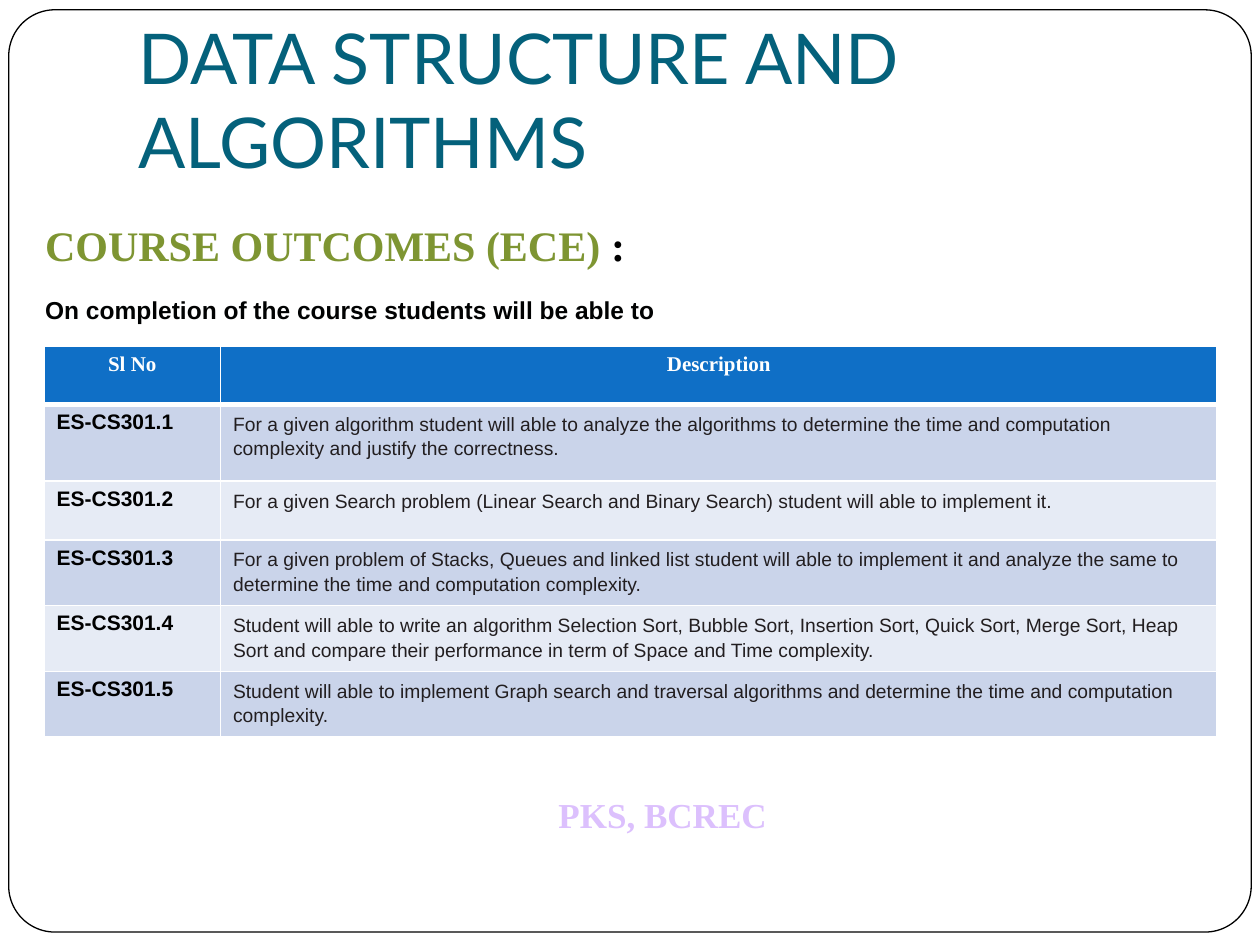
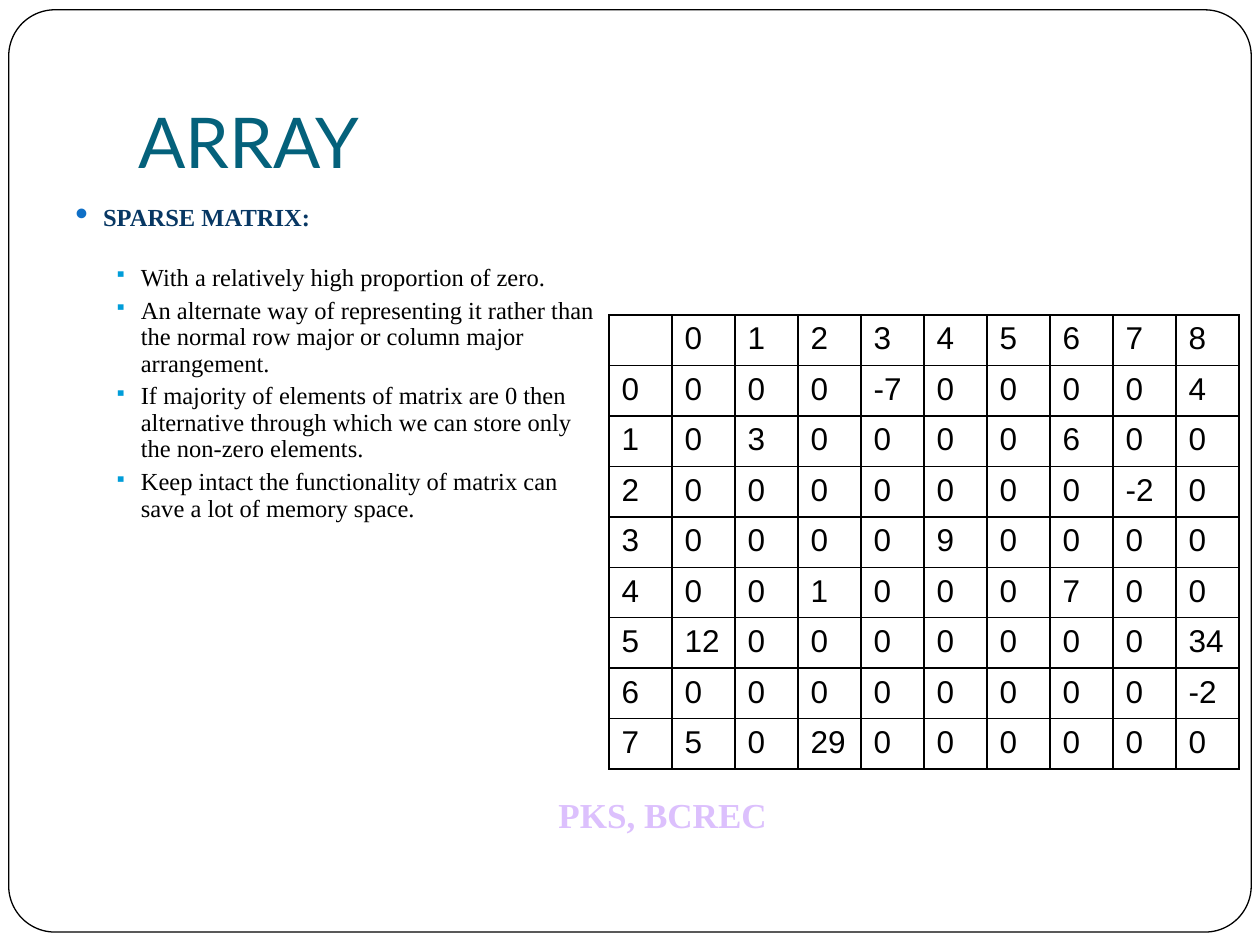
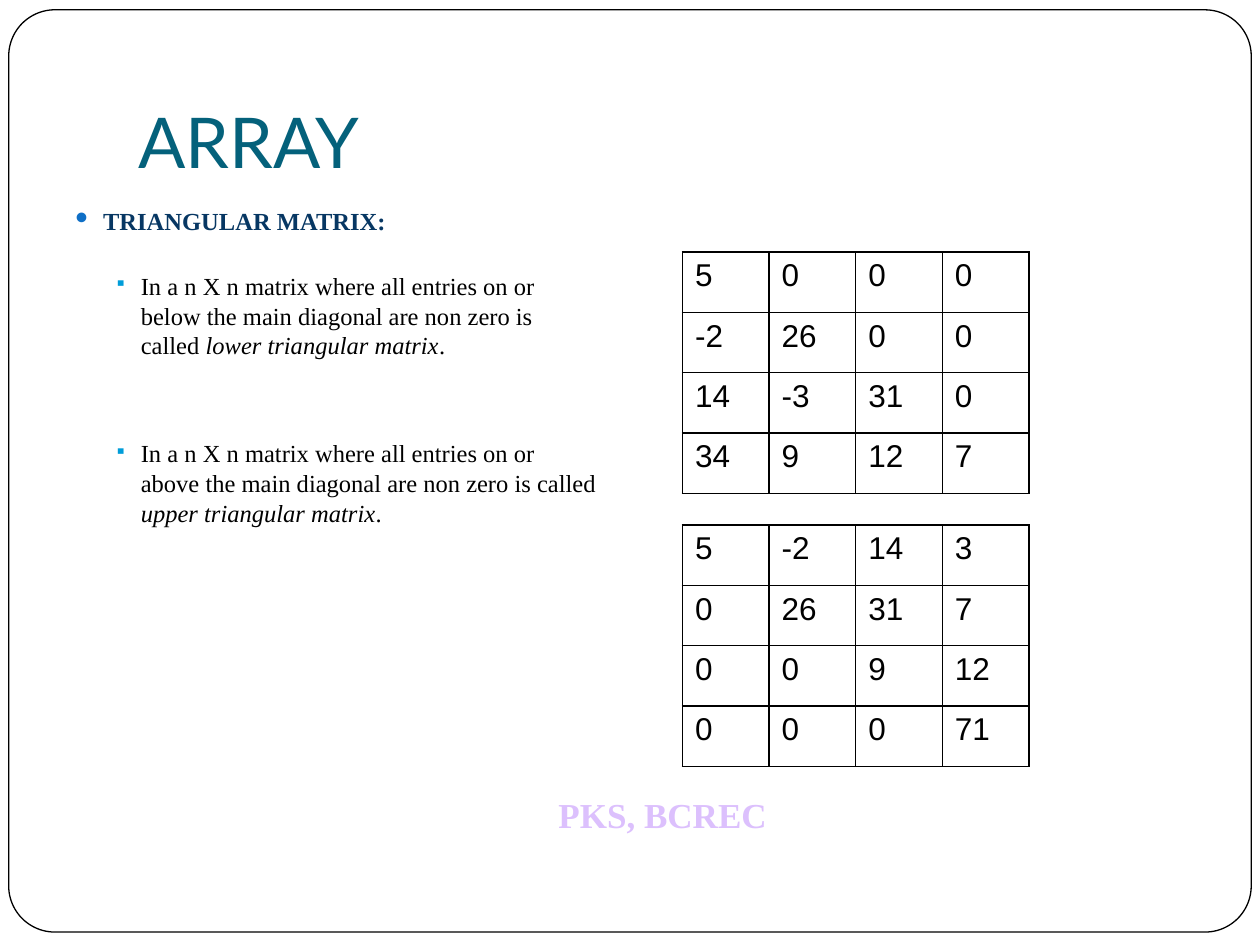
"""Build three lecture slides on data structures: course outcomes, sparse and triangular matrices."""
from pptx import Presentation
from pptx.dml.color import RGBColor
from pptx.enum import shapes, text
from pptx.oxml.ns import qn
from pptx.util import Pt
from lxml import etree

WHITE = RGBColor(0xFF, 0xFF, 0xFF)
BLACK = RGBColor(0, 0, 0)
TEAL = RGBColor(0x04, 0x61, 0x7B)
LILAC = RGBColor(0xDC, 0xC0, 0xFD)
OLIVE = RGBColor(0x7E, 0x95, 0x32)
NAVY = RGBColor(0x07, 0x37, 0x63)
BLUE = RGBColor(0x0F, 0x6F, 0xC6)
CYAN = RGBColor(0x00, 0x9D, 0xD9)
CHARCOAL = RGBColor(0x22, 0x1E, 0x20)
INK = RGBColor(0x01, 0x02, 0x02)
BANDS = [RGBColor(0xCA, 0xD4, 0xEA), RGBColor(0xE6, 0xEB, 0xF5)]
SERIF, SANS, TITLE_FONT = "Times New Roman", "Arial", "Lato"

FOOTER = "PKS, BCREC"

OUTCOMES = [
    "For a given algorithm student will able to analyze the algorithms to determine the time and "
    "computation complexity and justify the correctness.",
    "For a given Search problem (Linear Search and Binary Search) student will able to implement it.",
    "For a given problem of Stacks, Queues and linked list student will able to implement it and "
    "analyze the same to determine the time and computation complexity.",
    "Student will able to write an algorithm Selection Sort, Bubble Sort, Insertion Sort, Quick Sort, "
    "Merge Sort, Heap Sort and compare their performance in term of Space and Time complexity.",
    "Student will able to implement Graph search and traversal algorithms and determine the time and "
    "computation complexity.",
]
OUTCOME_COLUMNS = [100.8, 569.5]
OUTCOME_ROWS = [33, 44, 33.5, 35, 36, 35]

SPARSE_POINTS = [
    (18.8, ["With a relatively high proportion of zero."]),
    (3.7, ["An alternate way of representing it rather than the normal row major or column major "
           "arrangement."]),
    (3.7, ["If majority of elements of matrix are 0 then alternative through which we can store only "
           "the non-zero elements."]),
    (3.7, ["Keep intact the functionality of matrix can save a lot of memory space."]),
]
SPARSE_SIZE = (8, 9)
SPARSE_ENTRIES = {(0, 3): -7, (0, 8): 4, (1, 1): 3, (1, 6): 6, (2, 7): -2, (3, 4): 9, (4, 2): 1,
                  (4, 6): 7, (5, 0): 12, (5, 8): 34, (6, 8): -2, (7, 0): 5, (7, 2): 29}

TRIANGULAR_POINTS = [
    (20.6, ["In a n X n matrix where all entries on or below the main diagonal are non zero is called ",
            "lower triangular matrix", "."]),
    (44.9, ["In a n X n matrix where all entries on or above the main diagonal are non zero is called ",
            "upper triangular matrix", "."]),
]
LOWER = [[5, 0, 0, 0], [-2, 26, 0, 0], [14, -3, 31, 0], [34, 9, 12, 7]]
UPPER = [[5, -2, 14, 3], [0, 26, 31, 7], [0, 0, 9, 12], [0, 0, 0, 71]]


def add_run(paragraph, words, size, font, color, bold=False, italic=False):
    run = paragraph.add_run()
    run.text = words
    run.font.size, run.font.name = Pt(size), font
    run.font.bold, run.font.italic = bold, italic
    run.font.color.rgb = color


def add_frame(slide, left, top, width, height):
    frame = slide.shapes.add_textbox(Pt(left), Pt(top), Pt(width), Pt(height)).text_frame
    frame.word_wrap = True
    return frame


def start_slide(deck, heading):
    slide = deck.slides.add_slide(deck.slide_layouts[6])
    border = slide.shapes.add_shape(shapes.MSO_SHAPE.ROUNDED_RECTANGLE,
                                    Pt(5), Pt(5.6), Pt(710), Pt(527))
    border.adjustments[0] = 0.05
    border.shadow.inherit = False
    border.fill.solid()
    border.fill.fore_color.rgb = WHITE
    border.line.color.rgb = BLACK
    border.line.width = Pt(0.75)
    footer = add_frame(slide, 312, 450, 152.6, 31.5)
    add_run(footer.paragraphs[0], FOOTER, 20, SERIF, LILAC, bold=True)
    title = add_frame(slide, 72, 21.6, 612, 90)
    title.vertical_anchor = text.MSO_ANCHOR.BOTTOM
    title.margin_bottom = Pt(7.2)
    add_run(title.paragraphs[0], heading, 40, TITLE_FONT, TEAL)
    return slide


def set_bullet(paragraph, glyph, color, percent, indent, hang):
    props = paragraph._p.get_or_add_pPr()
    props.set("marL", str(Pt(indent)))
    props.set("indent", str(-Pt(hang)))
    tint = etree.SubElement(props, qn("a:buClr"))
    etree.SubElement(tint, qn("a:srgbClr"), val=str(color))
    etree.SubElement(props, qn("a:buSzPct"), val=str(percent * 1000))
    etree.SubElement(props, qn("a:buChar"), char=glyph)


def add_points(slide, topic, points, line_height):
    body = add_frame(slide, 30.2, 113.8, 318.2, 414)
    topic_line = body.paragraphs[0]
    topic_line.line_spacing = Pt(line_height)
    set_bullet(topic_line, "⚫", BLUE, 85, 21.6, 17.3)
    add_run(topic_line, topic, 14, SERIF, NAVY, bold=True)
    for gap, pieces in points:
        point = body.add_paragraph()
        point.level = 1
        point.line_spacing, point.space_before = Pt(line_height), Pt(gap)
        set_bullet(point, "▪", CYAN, 70, 43.2, 15.1)
        for i, piece in enumerate(pieces):
            add_run(point, piece, 14, SERIF, BLACK, italic=i == 1)


def set_borders(cell, color, bottom=1):
    props = cell._tc.get_or_add_tcPr()
    for side, width in (("L", 1), ("R", 1), ("T", 1), ("B", bottom)):
        edge = etree.SubElement(props, qn(f"a:ln{side}"), w=str(Pt(width)))
        fill = etree.SubElement(edge, qn("a:solidFill"))
        etree.SubElement(fill, qn("a:srgbClr"), val=str(color))


def add_grid(slide, left, top, widths, heights):
    grid = slide.shapes.add_table(len(heights), len(widths), Pt(left), Pt(top),
                                  Pt(sum(widths)), Pt(sum(heights))).table
    grid.first_row = grid.horz_banding = False
    for column, width in zip(grid.columns, widths):
        column.width = Pt(width)
    for row, height in zip(grid.rows, heights):
        row.height = Pt(height)
    return grid


def add_matrix(slide, matrix, left, top, width, height):
    grid = add_grid(slide, left, top, [width] * len(matrix[0]), [height] * len(matrix))
    for r, values in enumerate(matrix):
        for c, value in enumerate(values):
            cell = grid.cell(r, c)
            set_borders(cell, BLACK)
            cell.fill.background()
            add_run(cell.text_frame.paragraphs[0], str(value), 18, SANS, BLACK)


def add_outcomes(slide):
    grid = add_grid(slide, 25.2, 198, OUTCOME_COLUMNS, OUTCOME_ROWS)
    for c, label in enumerate(["Sl No", "Description"]):
        cell = grid.cell(0, c)
        set_borders(cell, WHITE, bottom=3)
        cell.fill.solid()
        cell.fill.fore_color.rgb = BLUE
        header = cell.text_frame.paragraphs[0]
        header.alignment = text.PP_ALIGN.CENTER
        add_run(header, label, 12, SERIF, WHITE, bold=True)
    for r, outcome in enumerate(OUTCOMES, 1):
        code, description = grid.cell(r, 0), grid.cell(r, 1)
        for cell in (code, description):
            set_borders(cell, WHITE)
            cell.fill.solid()
            cell.fill.fore_color.rgb = BANDS[(r - 1) % 2]
        add_run(code.text_frame.paragraphs[0], f"ES-CS301.{r}", 12, SANS, BLACK, bold=True)
        sentence = description.text_frame.paragraphs[0]
        sentence.line_spacing = 1.15
        add_run(sentence, outcome, 11, SANS, CHARCOAL)


def main():
    deck = Presentation()
    deck.slide_width, deck.slide_height = Pt(720), Pt(540)

    course = start_slide(deck, "DATA STRUCTURE AND ALGORITHMS")
    add_outcomes(course)
    intro = add_frame(course, 18.7, 121.7, 398.9, 46)
    add_run(intro.paragraphs[0], "COURSE OUTCOMES (ECE) ", 24, SERIF, OLIVE, bold=True)
    add_run(intro.paragraphs[0], ":", 24, SERIF, BLACK, bold=True)
    lead = intro.add_paragraph()
    lead.line_spacing, lead.space_before = 1.15, Pt(12)
    add_run(lead, "On completion of the course students will be able to", 14, SANS, INK, bold=True)

    sparse = start_slide(deck, "ARRAY")
    add_points(sparse, "SPARSE MATRIX:", SPARSE_POINTS, 15.1)
    rows, columns = SPARSE_SIZE
    indexed = [["", *range(columns)]]
    indexed += [[r] + [SPARSE_ENTRIES.get((r, c), 0) for c in range(columns)] for r in range(rows)]
    add_matrix(sparse, indexed, 348, 180, 36, 26)

    triangular = start_slide(deck, "ARRAY")
    add_points(triangular, "TRIANGULAR MATRIX:", TRIANGULAR_POINTS, 16.9)
    for matrix, top in ((LOWER, 144), (UPPER, 300)):
        add_matrix(triangular, matrix, 390, top, 49.5, 34.5)

    deck.save("out.pptx")


if __name__ == "__main__":
    main()
